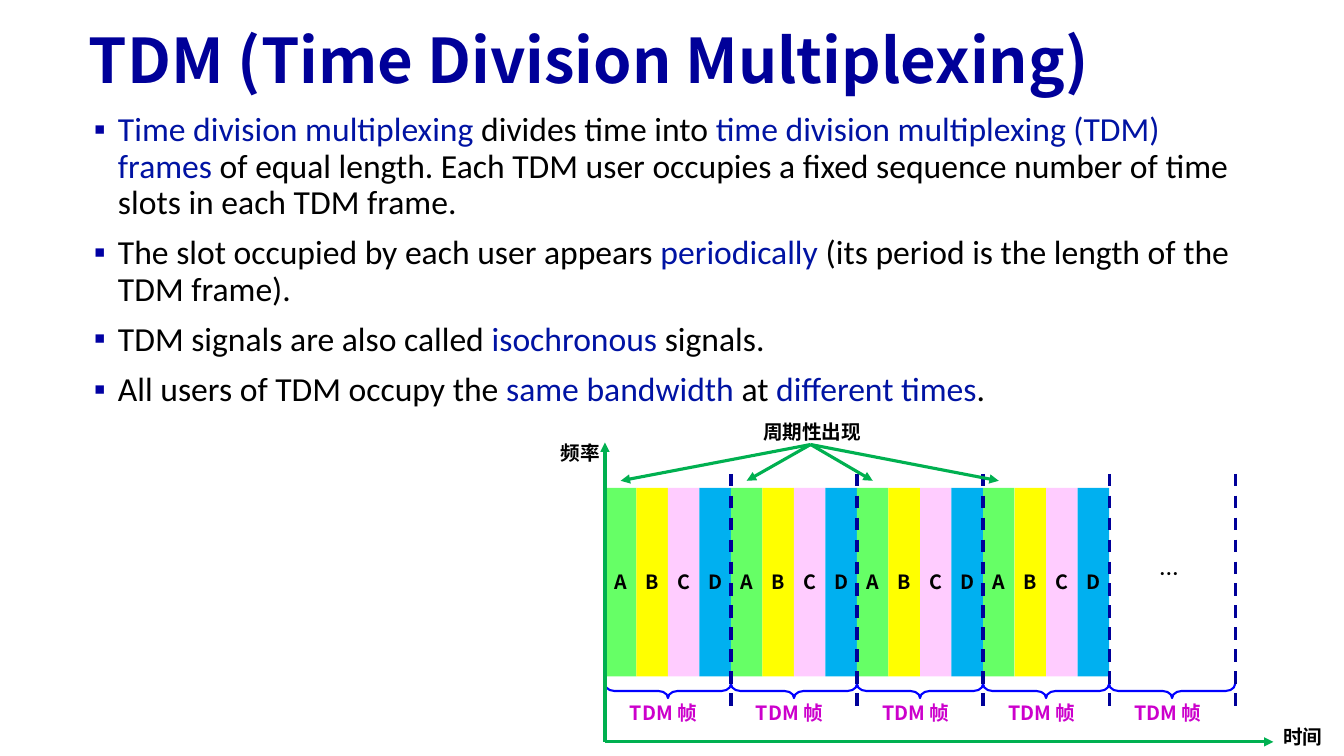
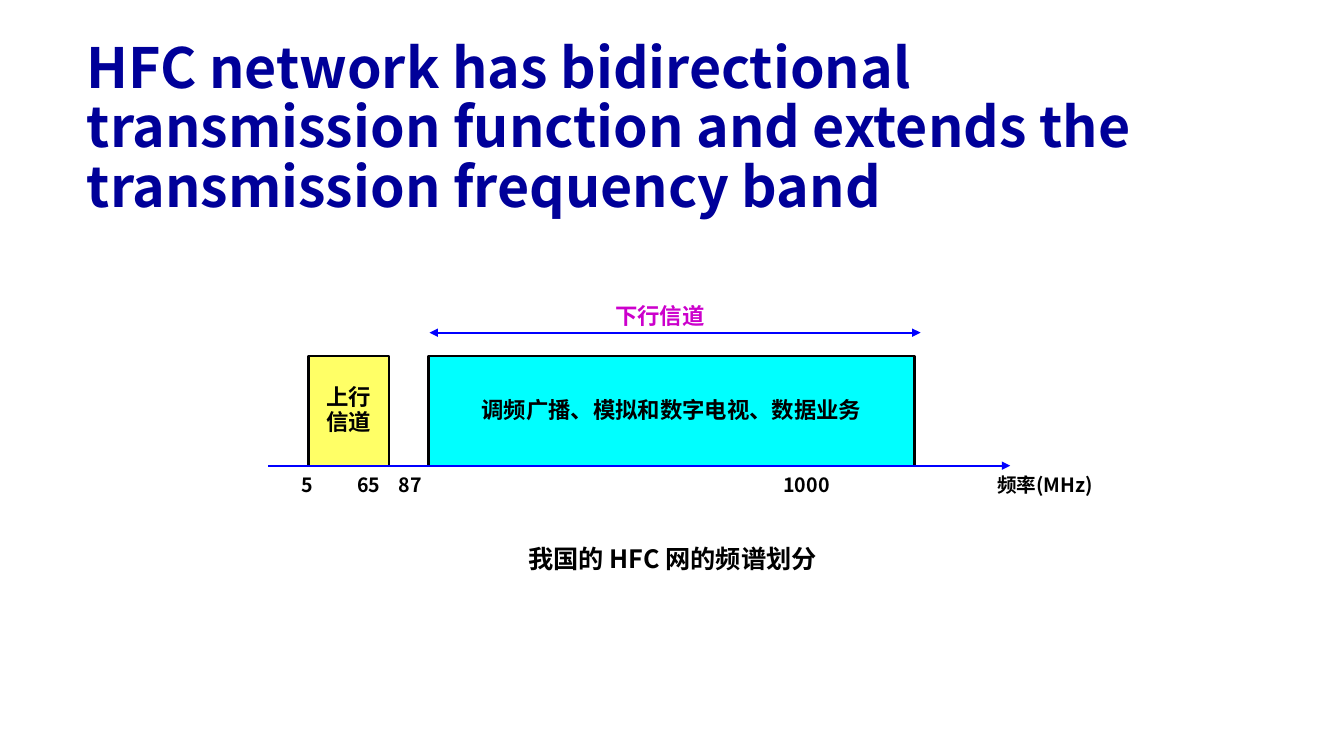
from lxml import etree
from pptx import Presentation
from pptx import util as u
from pptx.dml.color import RGBColor
from pptx.enum import dml, shapes, text
from pptx.oxml.ns import qn

HEAD, BODY = "Noto Sans CJK SC", "Calibri"
NAVY, BLUE, GREEN, PURPLE, BLACK = "000099", "0000FF", "00B050", "CC00CC", "000000"
HIGHLIGHT, BULLET = "0013A3", "0000A3"
CENTER = text.PP_ALIGN.CENTER
MIDDLE, TOP = text.MSO_ANCHOR.MIDDLE, text.MSO_ANCHOR.TOP

TDM_TITLE = "TDM (Time Division Multiplexing)"
TDM_POINTS = [
    "|Time division multiplexing |divides time into |time division multiplexing (TDM) frames"
    "| of equal length. Each TDM user occupies a fixed sequence number of time slots in each TDM frame.",
    "The slot occupied by each user appears |periodically| (its period is the length of the TDM frame).",
    "TDM signals are also called |isochronous| signals.",
    "All users of TDM occupy the |same bandwidth |at |different times|.",
]
SLOTS = [("A", "66FF66"), ("B", "FFFF00"), ("C", "FFCCFF"), ("D", "00B0F0")]
TDM_LABELS = [
    ("时间", (12.63, 7.17, 0.59, 0.31)),
    ("频率", (5.46, 4.35, 0.59, 0.31)),
    ("周期性出现", (7.47, 4.14, 1.18, 0.31)),
]
FRAMES, FILLED_FRAMES = 5, 4
FRAME_LEFT, FRAME_W = 6, 1.25
SLOT_TOP, SLOT_H = 4.84, 1.87
AXIS_Y = 7.36
ARROW_START = (8.04, 4.41)

HFC_TITLE = ("HFC network has bidirectional transmission function "
             "and extends the transmission frequency band")
BANDS = [
    (["上行", "信道"], "FFFF66", 3.06, 0.8),
    (["调频广播、模拟和数字电视、数据业务"], "00FFFF", 4.25, 4.82),
]
BAND_TOP, BAND_H = 3.53, 1.09
TICKS = [("5", 3.05), ("65", 3.66), ("87", 4.07), ("1000", 8)]


def rgb(value):
    return RGBColor.from_string(value)


def write(tf, paragraphs, size=14, color=BLACK, font=HEAD, bold=True, align=None,
          spacing=0.9, before=0, bullet=None, anchor=TOP, wrap=False):
    tf.auto_size = text.MSO_AUTO_SIZE.NONE
    tf.word_wrap = wrap
    tf.vertical_anchor = anchor
    for i, content in enumerate(paragraphs):
        p = tf.paragraphs[0] if i == 0 else tf.add_paragraph()
        p.line_spacing = spacing
        p.space_before = u.Pt(before if i else 0)
        p.alignment = align
        if bullet:
            pr = p._p.get_or_add_pPr()
            pr.set("marL", str(u.Inches(0.39)))
            pr.set("indent", str(u.Inches(-0.24)))
            clr = etree.SubElement(pr, qn("a:buClr"))
            etree.SubElement(clr, qn("a:srgbClr"), val=BULLET)
            etree.SubElement(pr, qn("a:buChar"), char=bullet)
        for j, part in enumerate(content.split("|")):
            if not part:
                continue
            r = p.add_run()
            r.text = part
            r.font.size = u.Pt(size)
            r.font.bold = bold
            r.font.color.rgb = rgb(HIGHLIGHT if j % 2 else color)
            r.font.name = font
            etree.SubElement(r._r.get_or_add_rPr(), qn("a:ea"), typeface=font)


def place(sp, left, top, width, height):
    sp.left, sp.top = u.Inches(left), u.Inches(top)
    sp.width, sp.height = u.Inches(width), u.Inches(height)


def title(s, content, box, size):
    place(s.shapes.title, *box)
    write(s.shapes.title.text_frame, [content], size=size, color=NAVY,
          align=text.PP_ALIGN.LEFT, anchor=MIDDLE, wrap=True)


def label(s, content, box, **fmt):
    sp = s.shapes.add_textbox(*map(u.Inches, box))
    write(sp.text_frame, [content], **fmt)


def shape(s, kind, box, fill=None, line=None):
    sp = s.shapes.add_shape(kind, *map(u.Inches, box))
    sp.shadow.inherit = False
    if fill:
        sp.fill.solid()
        sp.fill.fore_color.rgb = rgb(fill)
    else:
        sp.fill.background()
    if line:
        sp.line.color.rgb = rgb(line)
        sp.line.width = u.Pt(1.5)
    else:
        sp.line.fill.background()
    return sp


def line(s, start, end, color, width=2.25, dash=False, ends=("tailEnd",)):
    c = s.shapes.add_connector(shapes.MSO_CONNECTOR.STRAIGHT, *map(u.Inches, (*start, *end)))
    c.line.color.rgb = rgb(color)
    c.line.width = u.Pt(width)
    if dash:
        c.line.dash_style = dml.MSO_LINE.DASH
    for end_tag in ends:
        etree.SubElement(c.line._get_or_add_ln(), qn("a:" + end_tag), type="triangle")
    etree.SubElement(c._element.spPr, qn("a:effectLst"))


def tdm_slide(prs):
    s = prs.slides.add_slide(prs.slide_layouts[1])
    title(s, TDM_TITLE, (0.78, 0.14, 11.87, 0.98), 44)
    body = s.placeholders[1]
    place(body, 0.68, 1.07, 11.66, 3.07)
    write(body.text_frame, TDM_POINTS, size=24, font=BODY, bold=False,
          before=10, bullet="▪", wrap=True)

    slot_w = FRAME_W / len(SLOTS)
    for frame in range(FRAMES):
        left = FRAME_LEFT + frame * FRAME_W
        if frame < FILLED_FRAMES:
            for i, (name, fill) in enumerate(SLOTS):
                box = (left + i * slot_w, SLOT_TOP, slot_w, SLOT_H)
                sp = shape(s, shapes.MSO_SHAPE.RECTANGLE, box, fill)
                write(sp.text_frame, [name], align=CENTER, anchor=MIDDLE, spacing=1)
        brace_box = (left + FRAME_W / 2 - 0.07, 6.23, 0.14, FRAME_W)
        brace = shape(s, shapes.MSO_SHAPE.LEFT_BRACE, brace_box, line=BLUE)
        brace.rotation = 270
        brace.adjustments[0] = 0.67
        label(s, "TDM 帧", (left + 0.15, 6.93, 0.94, 0.31), color=PURPLE)

    for frame in range(FRAMES):
        right = FRAME_LEFT + (frame + 1) * FRAME_W
        line(s, (right, 4.7), (right, 7.07), NAVY, dash=True, ends=())
    for frame in range(FILLED_FRAMES):
        target = FRAME_LEFT + frame * FRAME_W + slot_w / 2
        line(s, ARROW_START, (target, 4.77), GREEN)
    origin = (FRAME_LEFT, AXIS_Y)
    line(s, origin, (12.63, AXIS_Y), GREEN)
    line(s, origin, (FRAME_LEFT, 4.39), GREEN)
    for content, box in TDM_LABELS:
        label(s, content, box)
    label(s, "…", (11.4, 5.53, 0.39, 0.33), spacing=1)


def hfc_slide(prs):
    s = prs.slides.add_slide(prs.slide_layouts[5])
    title(s, HFC_TITLE, (0.76, 0.3, 11.87, 1.98), 39.6)
    for content, fill, left, width in BANDS:
        box = (left, BAND_TOP, width, BAND_H)
        sp = shape(s, shapes.MSO_SHAPE.RECTANGLE, box, fill, BLACK)
        write(sp.text_frame, content, size=16, align=CENTER, anchor=MIDDLE)
    axis_y = BAND_TOP + BAND_H
    line(s, (2.66, axis_y), (10.02, axis_y), BLUE, 1.5)
    line(s, (4.26, 3.3), (9.13, 3.3), BLUE, 1.5, ends=("headEnd", "tailEnd"))
    label(s, "下行信道", (5.94, 2.93, 1.21, 0.4), size=16, color=PURPLE,
          align=CENTER, anchor=MIDDLE, spacing=1)
    for content, center in TICKS:
        label(s, content, (center - 0.4, 4.64, 0.8, 0.34), align=CENTER, spacing=1)
    label(s, "频率(MHz)", (9.79, 4.64, 1.21, 0.34), spacing=1)
    label(s, "我国的 HFC 网的频谱划分", (5.1, 5.34, 3.14, 0.7), size=18,
          align=CENTER, spacing=1, wrap=True)


def main():
    prs = Presentation()
    prs.slide_width, prs.slide_height = u.Inches(13.33), u.Inches(7.5)
    tdm_slide(prs)
    hfc_slide(prs)
    prs.save("out.pptx")


if __name__ == "__main__":
    main()
